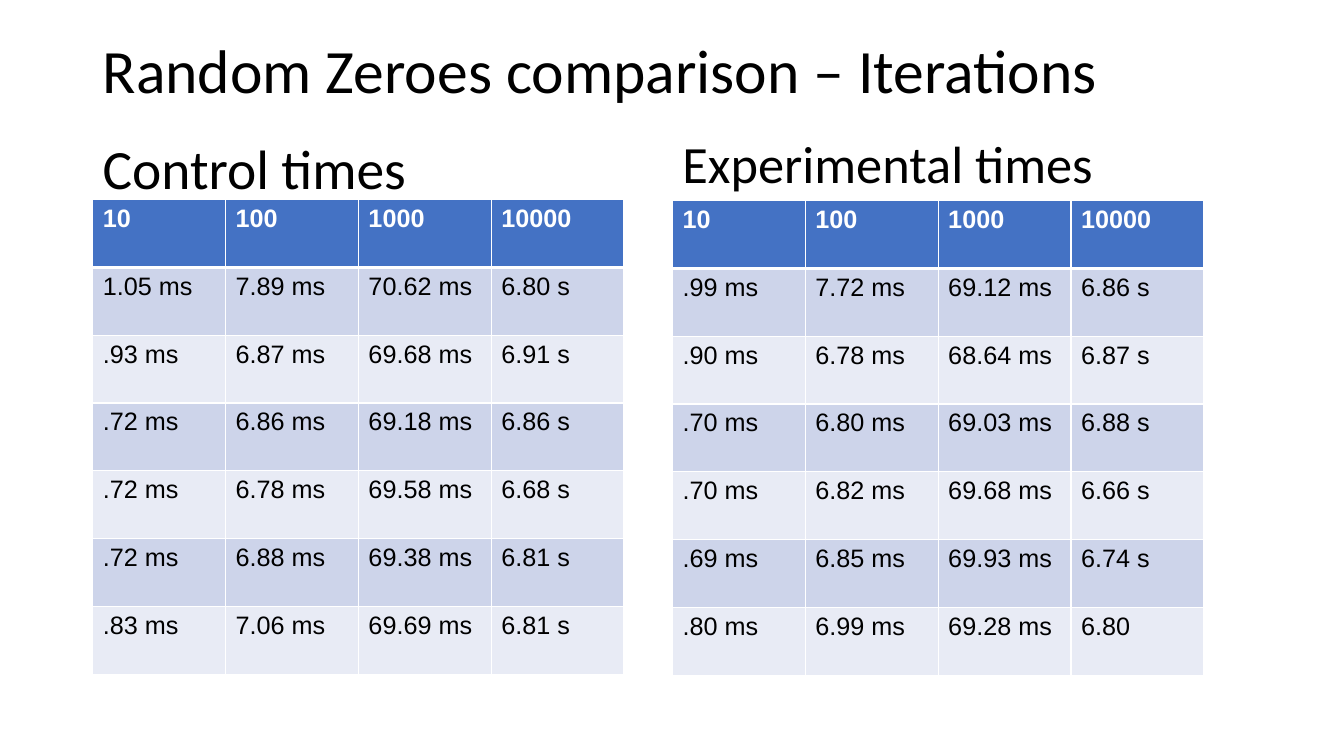
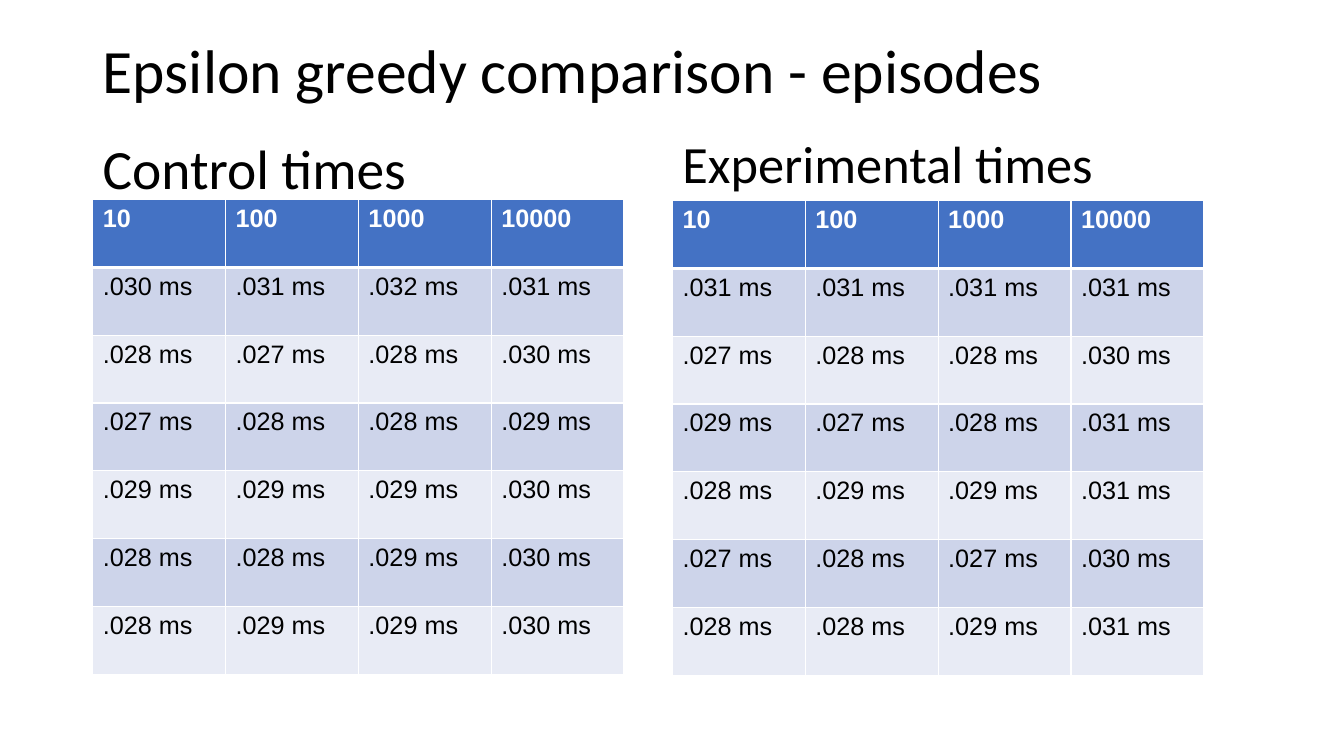
from lxml import etree
from pptx import Presentation
from pptx.dml.color import RGBColor
from pptx.enum.text import MSO_ANCHOR
from pptx.oxml.ns import qn
from pptx.util import Inches, Pt

MIDDLE = MSO_ANCHOR.MIDDLE

BLACK = RGBColor(0x00, 0x00, 0x00)
WHITE = RGBColor(0xFF, 0xFF, 0xFF)
HEADER_BLUE = RGBColor(0x44, 0x72, 0xC4)
BAND_DARK = RGBColor(0xCD, 0xD4, 0xEA)
BAND_LIGHT = RGBColor(0xE8, 0xEB, 0xF5)

HEADING_FONT = "Calibri"
TABLE_FONT = "Arial"
LEFT_COLUMN = 0.92
RIGHT_COLUMN = 6.67
TABLE_WIDTH = 5.27
TABLE_HEIGHT = 4.71
THIN_BORDER = 1
HEADER_BORDER = 3

TABLE_HEADER = ("10", "100", "1000", "10000")

ZEROES_CONTROL = [
    ("1.05 ms", "7.89 ms", "70.62 ms", "6.80 s"),
    (".93 ms", "6.87 ms", "69.68 ms", "6.91 s"),
    (".72 ms", "6.86 ms", "69.18 ms", "6.86 s"),
    (".72 ms", "6.78 ms", "69.58 ms", "6.68 s"),
    (".72 ms", "6.88 ms", "69.38 ms", "6.81 s"),
    (".83 ms", "7.06 ms", "69.69 ms", "6.81 s"),
]
ZEROES_EXPERIMENTAL = [
    (".99 ms", "7.72 ms", "69.12 ms", "6.86 s"),
    (".90 ms", "6.78 ms", "68.64 ms", "6.87 s"),
    (".70 ms", "6.80 ms", "69.03 ms", "6.88 s"),
    (".70 ms", "6.82 ms", "69.68 ms", "6.66 s"),
    (".69 ms", "6.85 ms", "69.93 ms", "6.74 s"),
    (".80 ms", "6.99 ms", "69.28 ms", "6.80"),
]
GREEDY_CONTROL = [
    (".030 ms", ".031 ms", ".032 ms", ".031 ms"),
    (".028 ms", ".027 ms", ".028 ms", ".030 ms"),
    (".027 ms", ".028 ms", ".028 ms", ".029 ms"),
    (".029 ms", ".029 ms", ".029 ms", ".030 ms"),
    (".028 ms", ".028 ms", ".029 ms", ".030 ms"),
    (".028 ms", ".029 ms", ".029 ms", ".030 ms"),
]
GREEDY_EXPERIMENTAL = [
    (".031 ms", ".031 ms", ".031 ms", ".031 ms"),
    (".027 ms", ".028 ms", ".028 ms", ".030 ms"),
    (".029 ms", ".027 ms", ".028 ms", ".031 ms"),
    (".028 ms", ".029 ms", ".029 ms", ".031 ms"),
    (".027 ms", ".028 ms", ".027 ms", ".030 ms"),
    (".028 ms", ".028 ms", ".029 ms", ".031 ms"),
]


def format_font(font, name, size, color, bold=False):
    font.name = name
    font.size = Pt(size)
    font.color.rgb = color
    font.bold = bold


def add_heading(slide, text, left, top, width, height, size, line_spacing):
    shape = slide.shapes.add_textbox(
        Inches(left), Inches(top), Inches(width), Inches(height))
    text_frame = shape.text_frame
    text_frame.word_wrap = True
    text_frame.vertical_anchor = MIDDLE
    text_frame.text = text
    paragraph = text_frame.paragraphs[0]
    paragraph.line_spacing = line_spacing
    format_font(paragraph.runs[0].font, HEADING_FONT, size, BLACK)


def set_borders(cell, top, bottom):
    """Draw white cell borders; must run before the cell's fill is set."""
    properties = cell._tc.get_or_add_tcPr()
    widths = {"a:lnL": THIN_BORDER, "a:lnR": THIN_BORDER, "a:lnT": top, "a:lnB": bottom}
    for tag, width in widths.items():
        line = etree.SubElement(properties, qn(tag), w=str(Pt(width)))
        fill = etree.SubElement(line, qn("a:solidFill"))
        etree.SubElement(fill, qn("a:srgbClr"), val=str(WHITE))


def add_times_table(slide, left, top, times):
    rows = [TABLE_HEADER, *times]
    table = slide.shapes.add_table(
        len(rows), len(TABLE_HEADER), Inches(left), Inches(top),
        Inches(TABLE_WIDTH), Inches(TABLE_HEIGHT)).table
    for row_index, row in enumerate(rows):
        is_header = row_index == 0
        if is_header:
            fill_color = HEADER_BLUE
        else:
            fill_color = BAND_DARK if row_index % 2 else BAND_LIGHT
        for column_index, text in enumerate(row):
            cell = table.cell(row_index, column_index)
            set_borders(cell,
                        top=HEADER_BORDER if row_index == 1 else THIN_BORDER,
                        bottom=HEADER_BORDER if is_header else THIN_BORDER)
            cell.fill.solid()
            cell.fill.fore_color.rgb = fill_color
            cell.text_frame.text = text
            format_font(cell.text_frame.paragraphs[0].runs[0].font, TABLE_FONT, 18,
                        WHITE if is_header else BLACK, bold=is_header)


def add_comparison_slide(presentation, title, control, experimental):
    slide = presentation.slides.add_slide(presentation.slide_layouts[6])
    add_heading(slide, title, LEFT_COLUMN, 0.4, 11.02, 0.7, 44, 0.8)
    add_heading(slide, "Control times", LEFT_COLUMN, 1.42, 5.27, 0.56, 39.6, 0.9)
    add_times_table(slide, LEFT_COLUMN, 1.98, control)
    add_heading(slide, "Experimental times", RIGHT_COLUMN, 1.41, 5.2, 0.57, 37.4, 0.7)
    add_times_table(slide, RIGHT_COLUMN, 1.99, experimental)


def main():
    presentation = Presentation()
    presentation.slide_width = Inches(13.33)
    presentation.slide_height = Inches(7.5)
    add_comparison_slide(presentation, "Random Zeroes comparison – Iterations",
                         ZEROES_CONTROL, ZEROES_EXPERIMENTAL)
    add_comparison_slide(presentation, "Epsilon greedy comparison - episodes",
                         GREEDY_CONTROL, GREEDY_EXPERIMENTAL)
    presentation.save("out.pptx")


if __name__ == "__main__":
    main()
